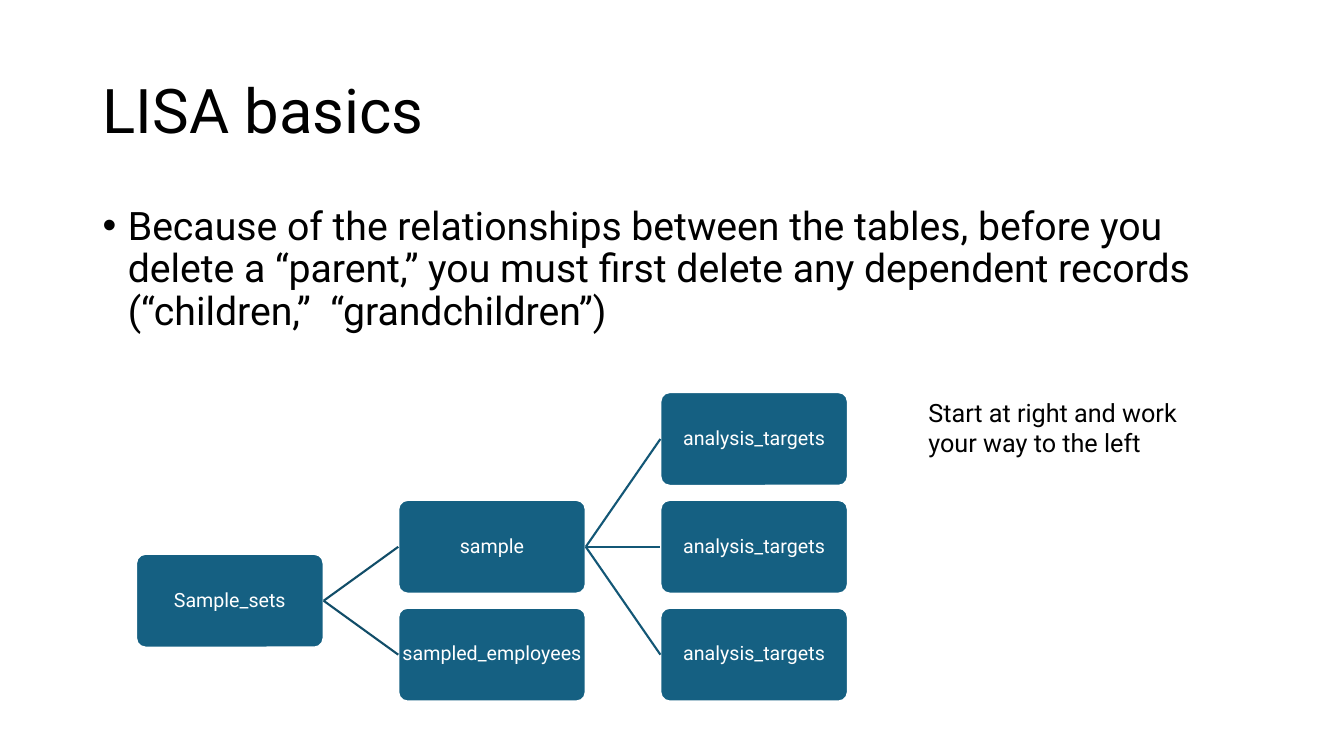
import pptx
import pptx.util
import pptx.dml.color
import pptx.enum.shapes
import pptx.enum.text
import pptx.oxml.ns
import lxml.etree

PX = 9144
FONT = "Roboto"
BLACK, WHITE, NODE_FILL = "000000", "FFFFFF", "156082"
BRANCH_COLORS = ["114D68", "135776"]
TREE_LEFT, TREE_TOP = 135, 389
COLUMN_STEP, ROW_STEP = 260, 107
NODE_WIDTH, NODE_HEIGHT = 186, 93
LEFT_SITE, RIGHT_SITE = 1, 3

TREE = ("Sample_sets", 1.5, [
    ("sample", 1, [
        ("analysis_targets", 0, []),
        ("analysis_targets", 1, []),
        ("analysis_targets", 2, []),
    ]),
    ("sampled_employees", 2, []),
])


def px(value):
    return pptx.util.Emu(round(value * PX))


def rgb(value):
    return pptx.dml.color.RGBColor.from_string(value)


def write(shape, text, size, color, align="LEFT", anchor="TOP", spacing=None):
    frame = shape.text_frame
    frame.text = text
    frame.word_wrap = True
    frame.auto_size = pptx.enum.text.MSO_AUTO_SIZE.NONE
    frame.vertical_anchor = getattr(pptx.enum.text.MSO_ANCHOR, anchor)
    paragraph = frame.paragraphs[0]
    paragraph.alignment = getattr(pptx.enum.text.PP_ALIGN, align)
    paragraph.line_spacing = spacing
    font = paragraph.runs[0].font
    font.name = FONT
    font.size = pptx.util.Pt(size)
    font.color.rgb = rgb(color)
    return paragraph


def add_title(slide, text):
    title = slide.shapes.title
    title.left, title.top, title.width, title.height = map(px, (92, 40, 1150, 145))
    write(title, text, 44, BLACK, anchor="MIDDLE", spacing=0.9)


def add_text(slide, box, text, size, spacing=None):
    textbox = slide.shapes.add_textbox(*map(px, box))
    return write(textbox, text, size, BLACK, spacing=spacing)


def add_bullet(paragraph, indent):
    properties = paragraph._p.get_or_add_pPr()
    properties.set("marL", str(px(indent)))
    properties.set("indent", str(-px(indent)))
    for tag, attribute, value in (("a:buFont", "typeface", "Arial"), ("a:buChar", "char", "•")):
        bullet_part = lxml.etree.SubElement(properties, pptx.oxml.ns.qn(tag))
        bullet_part.set(attribute, value)


def add_node(slide, text, column, row):
    node = slide.shapes.add_shape(
        pptx.enum.shapes.MSO_SHAPE.ROUNDED_RECTANGLE,
        px(TREE_LEFT + column * COLUMN_STEP), px(TREE_TOP + row * ROW_STEP),
        px(NODE_WIDTH), px(NODE_HEIGHT))
    node.adjustments[0] = 0.1
    node.shadow.inherit = False
    node.fill.solid()
    node.fill.fore_color.rgb = rgb(NODE_FILL)
    node.line.color.rgb = rgb(WHITE)
    node.line.width = pptx.util.Pt(1.5)
    frame = node.text_frame
    frame.margin_left = frame.margin_right = px(1)
    frame.margin_top = frame.margin_bottom = px(1)
    write(node, text, 14, WHITE, "CENTER", "MIDDLE", 0.9)
    return node


def add_branch(slide, parent, child, color):
    branch = slide.shapes.add_connector(
        pptx.enum.shapes.MSO_CONNECTOR.STRAIGHT, 0, 0, 0, 0)
    branch.begin_connect(parent, RIGHT_SITE)
    branch.end_connect(child, LEFT_SITE)
    branch.line.color.rgb = rgb(color)
    branch.line.width = pptx.util.Pt(1.5)
    lxml.etree.SubElement(branch._element.spPr, pptx.oxml.ns.qn("a:effectLst"))


def add_tree(slide, tree, column=0):
    text, row, children = tree
    parent = add_node(slide, text, column, row)
    for child_tree in children:
        child = add_tree(slide, child_tree, column + 1)
        add_branch(slide, parent, child, BRANCH_COLORS[column])
    return parent


def main():
    presentation = pptx.Presentation()
    presentation.slide_width, presentation.slide_height = px(1333), px(750)
    slide = presentation.slides.add_slide(presentation.slide_layouts.get_by_name("Title Only"))
    add_title(slide, "LISA basics")
    rule = add_text(
        slide, (92, 200, 1150, 476),
        "Because of the relationships between the tables, before you delete a “parent,” "
        "you must first delete any dependent records (“children,”  “grandchildren”)",
        28, 0.9)
    rule.space_before = pptx.util.Pt(10)
    add_bullet(rule, 25)
    add_tree(slide, TREE)
    add_text(slide, (911, 389, 270, 71), "Start at right and work your way to the left", 18)
    presentation.save("out.pptx")


if __name__ == "__main__":
    main()
